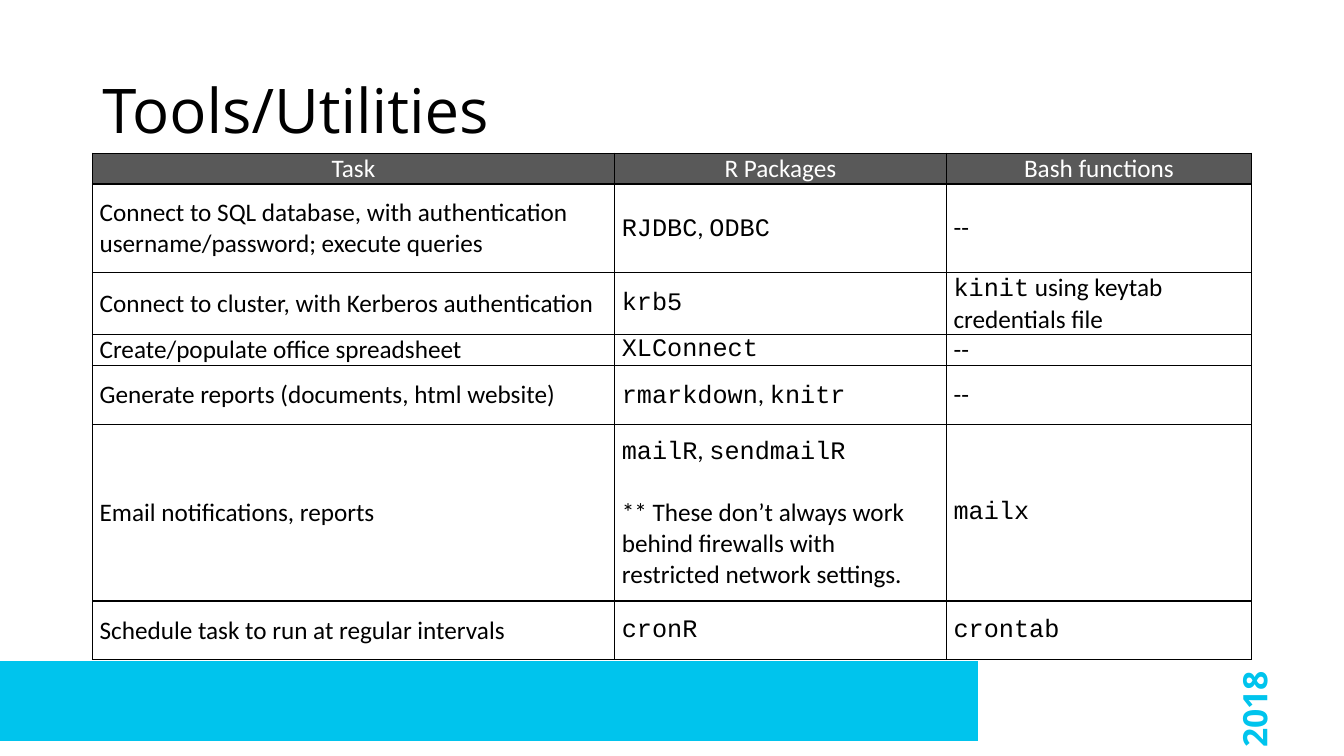
from lxml import etree
from pptx import Presentation
from pptx.dml.color import RGBColor
from pptx.enum.shapes import MSO_SHAPE
from pptx.enum.text import MSO_ANCHOR, PP_ALIGN
from pptx.oxml.ns import qn
from pptx.util import Pt

RECTANGLE = MSO_SHAPE.RECTANGLE
MIDDLE = MSO_ANCHOR.MIDDLE
LEFT, CENTER, RIGHT = PP_ALIGN.LEFT, PP_ALIGN.CENTER, PP_ALIGN.RIGHT

BLACK = RGBColor(0x00, 0x00, 0x00)
WHITE = RGBColor(0xFF, 0xFF, 0xFF)
CYAN = RGBColor(0x00, 0xC4, 0xED)
GRAY = RGBColor(0x59, 0x59, 0x59)

TITLE_FONT, BODY_FONT, CODE_FONT = "Open Sans", "Calibri", "Courier New"

COLUMN_WIDTHS = [373, 237, 218]
ROW_HEIGHTS = [22, 63.2, 42, 22, 42, 126.2, 42]
TOOL_ROWS = [
    ["Task", "R Packages", "Bash functions"],
    ["Connect to SQL database, with authentication username/password; execute queries",
     "`RJDBC`, `ODBC`", "--"],
    ["Connect to cluster, with Kerberos authentication",
     "`krb5`", "`kinit` using keytab credentials file"],
    ["Create/populate office spreadsheet", "`XLConnect`", "--"],
    ["Generate reports (documents, html website)", "`rmarkdown`, `knitr`", "--"],
    ["Email notifications, reports",
     "`mailR`, `sendmailR`\n** These don’t always work behind firewalls "
     "with restricted network settings.", "`mailx`"],
    ["Schedule task to run at regular intervals", "`cronR`", "`crontab`"],
]


def write_text(frame, text, font=BODY_FONT, size=18, color=BLACK, bold=False,
               align=LEFT, line_spacing=1.0, gap=0):
    """Write one paragraph per line, setting words in backticks in the code font."""
    for index, line in enumerate(text.split("\n")):
        paragraph = frame.add_paragraph() if index else frame.paragraphs[0]
        paragraph.alignment = align
        paragraph.line_spacing = line_spacing
        paragraph.space_before = Pt(gap if index else 0)
        for position, piece in enumerate(line.split("`")):
            if piece:
                run = paragraph.add_run()
                run.text = piece
                run.font.name = CODE_FONT if position % 2 else font
                run.font.size = Pt(size)
                run.font.bold = bold
                run.font.color.rgb = color


def add_footer(slide, left, top, width, height):
    """Place the colour bar and the upright year in the footer box."""
    bar = slide.shapes.add_shape(RECTANGLE, Pt(left), Pt(top), Pt(698.5), Pt(height))
    bar.shadow.inherit = False
    bar.fill.solid()
    bar.fill.fore_color.rgb = CYAN
    bar.line.fill.background()
    year = slide.shapes.add_textbox(Pt(left + width - 82.3), Pt(top), Pt(58.3), Pt(95))
    year.text_frame.word_wrap = True
    year.text_frame._txBody.bodyPr.set("vert", "vert270")
    write_text(year.text_frame, "2018", font=TITLE_FONT, size=24, color=CYAN,
               bold=True, align=RIGHT)


def add_title(slide, left, top, width, height):
    """Move the title placeholder to its box and fill it."""
    title = slide.shapes.title
    title.left, title.top, title.width, title.height = map(Pt, (left, top, width, height))
    title.text_frame.vertical_anchor = MIDDLE
    write_text(title.text_frame, "Tools/Utilities", font=TITLE_FONT, size=44,
               line_spacing=0.9)


def add_borders(cell):
    """Give the cell a thin black line on every side."""
    properties = cell._tc.get_or_add_tcPr()
    for side in ("a:lnL", "a:lnR", "a:lnT", "a:lnB"):
        line = etree.SubElement(properties, qn(side), w=str(Pt(1)))
        fill = etree.SubElement(line, qn("a:solidFill"))
        etree.SubElement(fill, qn("a:srgbClr"), val=str(BLACK))


def add_tools_table(slide, left, top):
    """Build the table of tools with its top left corner at the given point."""
    table = slide.shapes.add_table(
        len(TOOL_ROWS), len(COLUMN_WIDTHS), Pt(left), Pt(top),
        Pt(sum(COLUMN_WIDTHS)), Pt(sum(ROW_HEIGHTS))).table
    table.horz_banding = False
    for column, width in zip(table.columns, COLUMN_WIDTHS):
        column.width = Pt(width)
    for row, height, texts in zip(table.rows, ROW_HEIGHTS, TOOL_ROWS):
        row.height = Pt(height)
        is_header = texts is TOOL_ROWS[0]
        for cell, text in zip(row.cells, texts):
            cell.margin_left = cell.margin_right = Pt(5.2)
            cell.margin_top = cell.margin_bottom = 0
            cell.vertical_anchor = MIDDLE
            add_borders(cell)
            if is_header:
                cell.fill.solid()
                cell.fill.fore_color.rgb = GRAY
            else:
                cell.fill.background()
            write_text(cell.text_frame, text, color=WHITE if is_header else BLACK,
                       align=CENTER if is_header else LEFT, gap=22)


def main():
    """Create the slide and save the presentation."""
    presentation = Presentation()
    presentation.slide_width, presentation.slide_height = Pt(960), Pt(540)
    slide = presentation.slides.add_slide(presentation.slide_layouts[5])
    add_footer(slide, 0, 472.3, 960, 57)
    add_title(slide, 66, 28.8, 828, 104.4)
    add_tools_table(slide, 66, 109.4)
    presentation.save("out.pptx")


if __name__ == "__main__":
    main()
